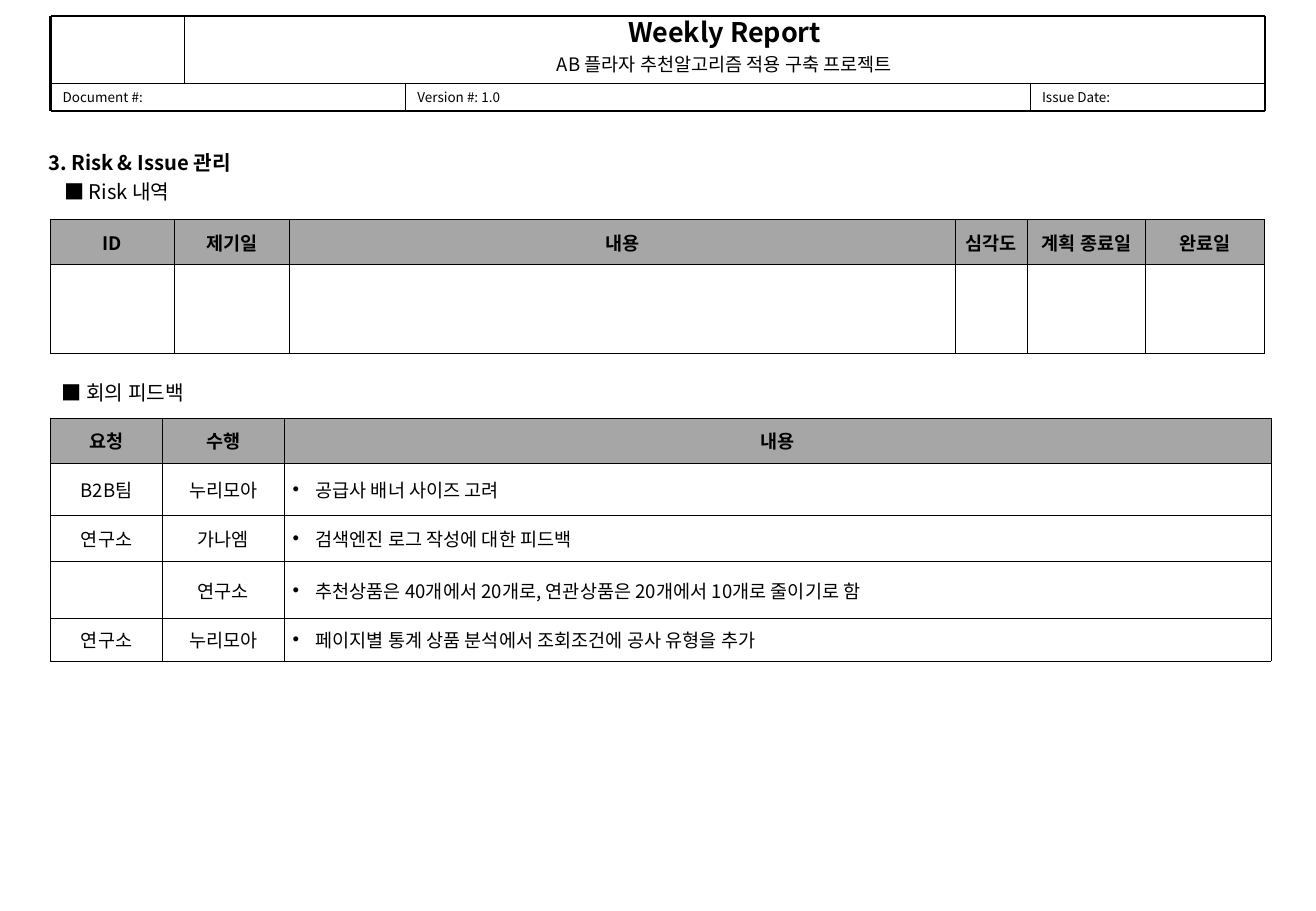
from itertools import accumulate

from lxml.etree import SubElement
from pptx import Presentation
from pptx.dml.color import RGBColor
from pptx.enum.shapes import MSO_CONNECTOR as Connector
from pptx.enum.text import MSO_ANCHOR as Anchor, MSO_AUTO_SIZE as AutoSize, PP_ALIGN as Align
from pptx.oxml.ns import qn
from pptx.util import Cm, Pt

FONT = "Noto Sans CJK KR"
BLACK = "000000"
HEADER_GRAY = "A6A6A6"


def color(hex_code):
    return RGBColor.from_string(hex_code)


def style(paragraph, size, bold=False, align=Align.LEFT):
    paragraph.alignment = align
    font = paragraph.font
    font.name, font.size, font.bold = FONT, Pt(size), bold
    font.color.rgb = color(BLACK)
    defaults = paragraph._p.pPr.find(qn("a:defRPr"))
    SubElement(defaults, qn("a:ea"), typeface=FONT)


def add_bullet(paragraph):
    properties = paragraph._p.get_or_add_pPr()
    properties.set("marL", str(Cm(0.48)))
    properties.set("indent", str(-Cm(0.48)))
    bullet_color = SubElement(properties, qn("a:buClr"))
    SubElement(bullet_color, qn("a:srgbClr"), val=BLACK)
    SubElement(properties, qn("a:buFont"), typeface="Arial")
    SubElement(properties, qn("a:buChar"), char="•")


def add_label(slide, box, lines, anchor=Anchor.TOP, align=Align.LEFT, inset=0.0, wrap=True):
    frame = slide.shapes.add_textbox(*map(Cm, box)).text_frame
    frame.word_wrap = wrap
    frame.auto_size = AutoSize.NONE
    frame.vertical_anchor = anchor
    frame.margin_left = frame.margin_right = Cm(0.25)
    frame.margin_top = frame.margin_bottom = Cm(inset)
    for index, (text, size, bold, space_before) in enumerate(lines):
        paragraph = frame.add_paragraph() if index else frame.paragraphs[0]
        paragraph.text = text
        if index:
            paragraph.space_before = Pt(space_before)
        style(paragraph, size, bold, align)


def add_rule(slide, x1, y1, x2, y2, width):
    rule = slide.shapes.add_connector(Connector.STRAIGHT, *map(Cm, (x1, y1, x2, y2)))
    rule.line.color.rgb = color(BLACK)
    rule.line.width = Pt(width)
    SubElement(rule._element.spPr, qn("a:effectLst"))


def add_report_header(slide, left, top, width, height):
    right, bottom = left + width, top + height
    middle, logo_edge = top + 1.42, left + 2.8
    add_label(slide, (logo_edge, top, right - logo_edge, middle - top),
              [("Weekly Report", 16, True, 0),
               ("AB 플라자 추천알고리즘 적용 구축 프로젝트", 11, False, 2.8)], align=Align.CENTER)

    edges = [left, left + 7.42, left + 20.49, right]
    for text, start, end in zip(("Document #:", "Version #: 1.0", "Issue Date:"), edges, edges[1:]):
        add_label(slide, (start, middle, end - start, bottom - middle),
                  [(text, 8, False, 0)], Anchor.MIDDLE)

    add_rule(slide, logo_edge, top, logo_edge, middle, 0.25)
    add_rule(slide, left, middle, right, middle, 0.25)
    for x in edges[1:-1]:
        add_rule(slide, x, middle, x, bottom, 0.25)
    for x in (left, right):
        add_rule(slide, x, top, x, bottom, 1.5)
    for y in (top, bottom):
        add_rule(slide, left, y, right, y, 1.5)


def add_heading(slide, left, top, text, bold=False):
    add_label(slide, (left, top, 4.6, 0.76), [(text, 12, bold, 0)], inset=0.13, wrap=False)


def add_borders(cell):
    properties = cell._tc.get_or_add_tcPr()
    for index, side in enumerate(("lnL", "lnR", "lnT", "lnB")):
        border = SubElement(properties, qn(f"a:{side}"), w=str(Pt(0.45)))
        fill = SubElement(border, qn("a:solidFill"))
        SubElement(fill, qn("a:srgbClr"), val=BLACK)
        properties.insert(index, border)


def fill_cell(cell, text, is_header, is_bulleted):
    cell.vertical_anchor = Anchor.MIDDLE
    cell.margin_left = cell.margin_right = Cm(0.18)
    cell.margin_top = cell.margin_bottom = Cm(0.13)
    if is_header:
        cell.fill.solid()
        cell.fill.fore_color.rgb = color(HEADER_GRAY)
    else:
        cell.fill.background()
    add_borders(cell)
    cell.text = text
    paragraph = cell.text_frame.paragraphs[0]
    if is_bulleted:
        add_bullet(paragraph)
    style(paragraph, 11, is_header, Align.JUSTIFY if is_bulleted else Align.CENTER)


def add_log_table(slide, left, top, widths, heights, rows):
    box = map(Cm, (left, top, sum(widths), sum(heights)))
    table = slide.shapes.add_table(len(rows), len(widths), *box).table
    table.first_row = table.horz_banding = False
    for column, width in zip(table.columns, widths):
        column.width = Cm(width)
    for row, height in zip(table.rows, heights):
        row.height = Cm(height)
    for r, texts in enumerate(rows):
        for c, text in enumerate(texts):
            is_bulleted = r > 0 and c == 2 and bool(text)
            fill_cell(table.cell(r, c), text, r == 0, is_bulleted)


def add_risk_section(slide, left, top):
    add_heading(slide, left - 0.3, top, "3. Risk & Issue 관리", bold=True)
    add_heading(slide, left + 0.03, top + 0.61, "■ Risk 내역")
    add_log_table(slide, left, top + 1.57, (2.59, 2.41, 13.92, 1.52, 2.46, 2.49), (0.94, 1.85),
                  [("ID", "제기일", "내용", "심각도", "계획 종료일", "완료일"), ("",) * 6])


def add_feedback_section(slide, left, top):
    add_heading(slide, left, top, "■ 회의 피드백")
    add_log_table(slide, left + 0.02, top + 0.92, (2.34, 2.54, 20.65),
                  (0.94, 1.09, 0.97, 1.19, 0.89), [
        ("요청", "수행", "내용"),
        ("B2B팀", "누리모아", "공급사 배너 사이즈 고려"),
        ("연구소", "가나엠", "검색엔진 로그 작성에 대한 피드백"),
        ("", "연구소", "추천상품은 40개에서 20개로, 연관상품은 20개에서 10개로 줄이기로 함"),
        ("연구소", "누리모아", "페이지별 통계 상품 분석에서 조회조건에 공사 유형을 추가"),
    ])


def main():
    deck = Presentation()
    deck.slide_width, deck.slide_height = Cm(27.53), Cm(19.05)
    slide = deck.slides.add_slide(deck.slide_layouts[6])
    add_report_header(slide, 1.06, 0.33, 25.4, 1.99)
    add_risk_section(slide, 1.06, 3.02)
    add_feedback_section(slide, 1.04, 7.82)
    deck.save("out.pptx")


if __name__ == "__main__":
    main()
